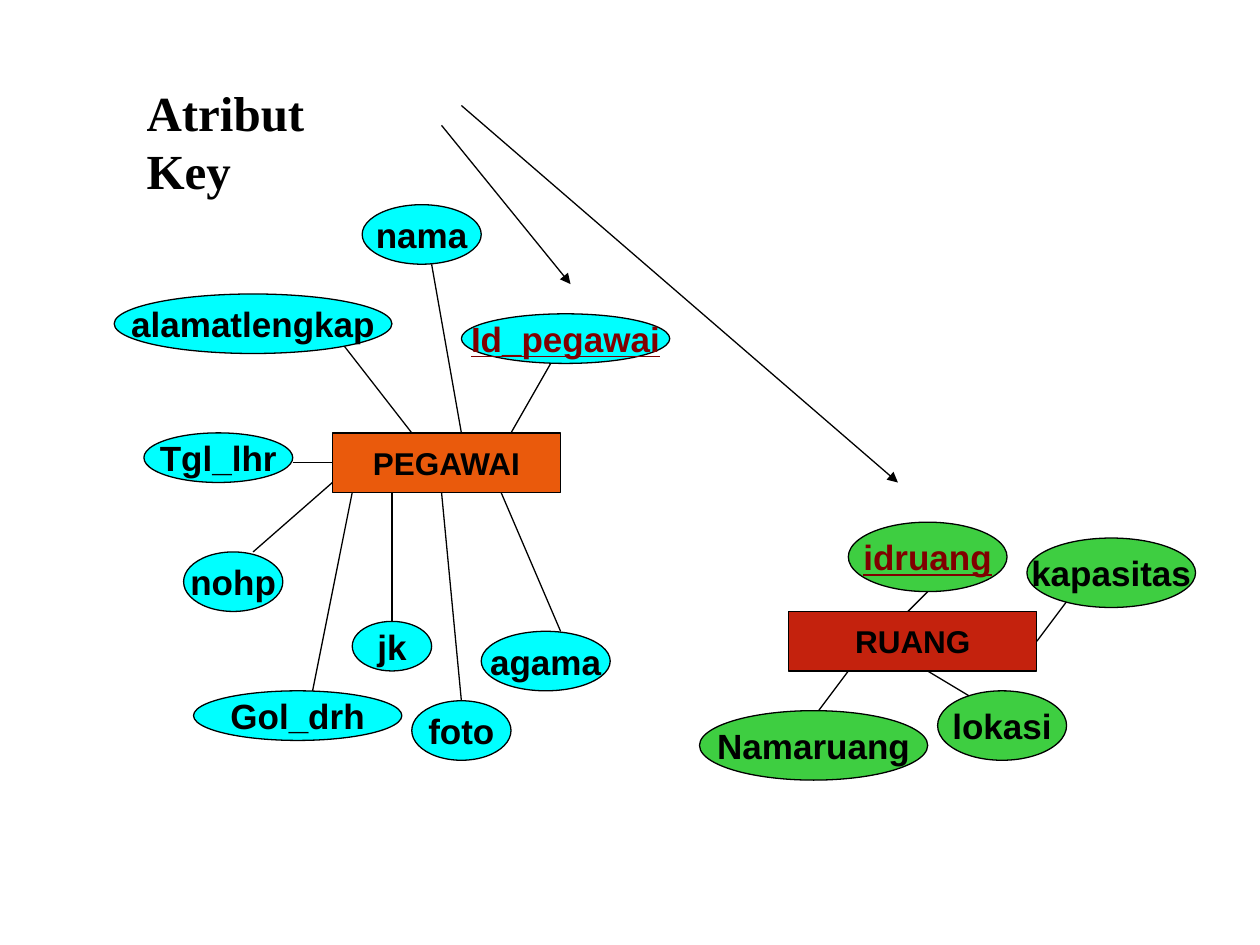
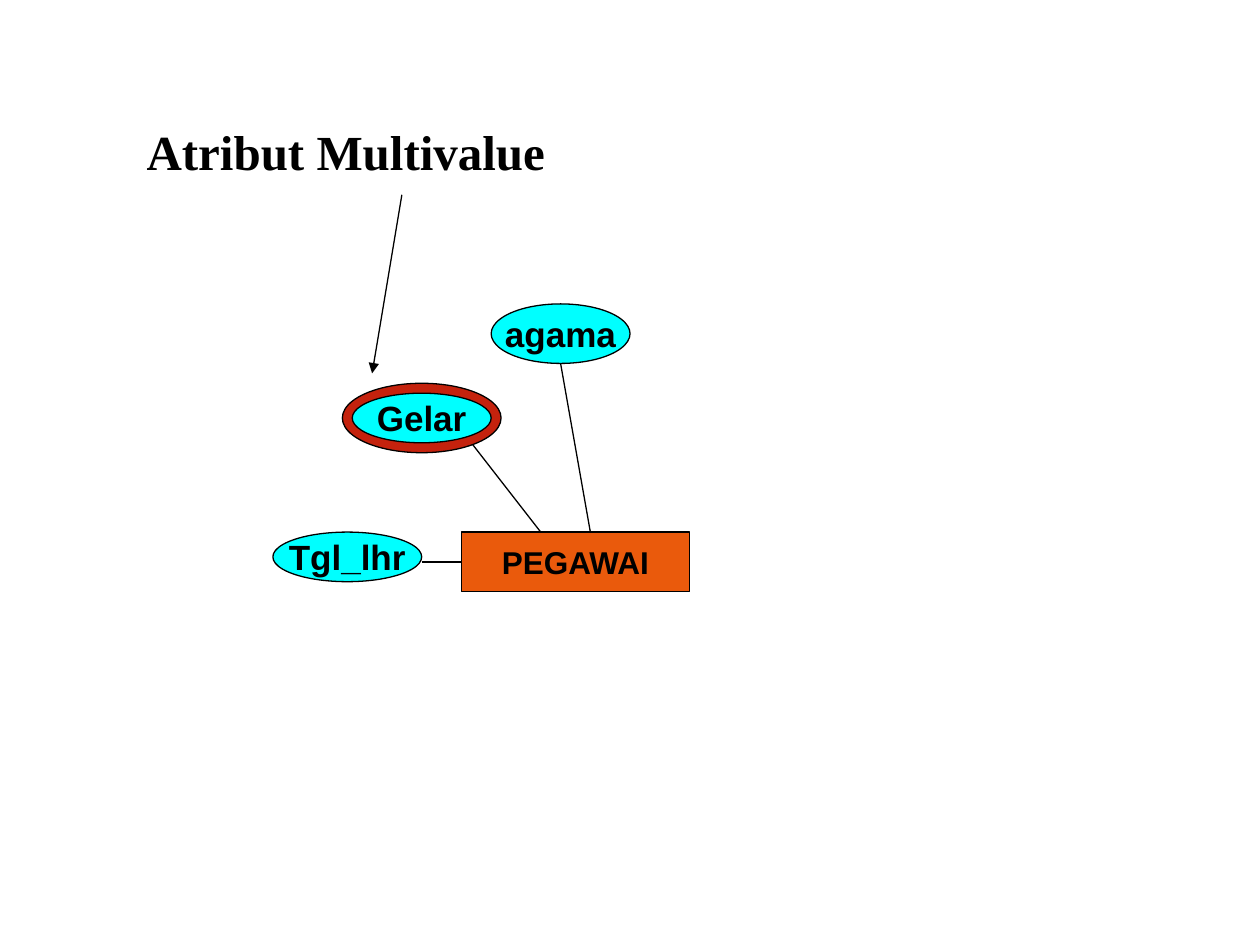
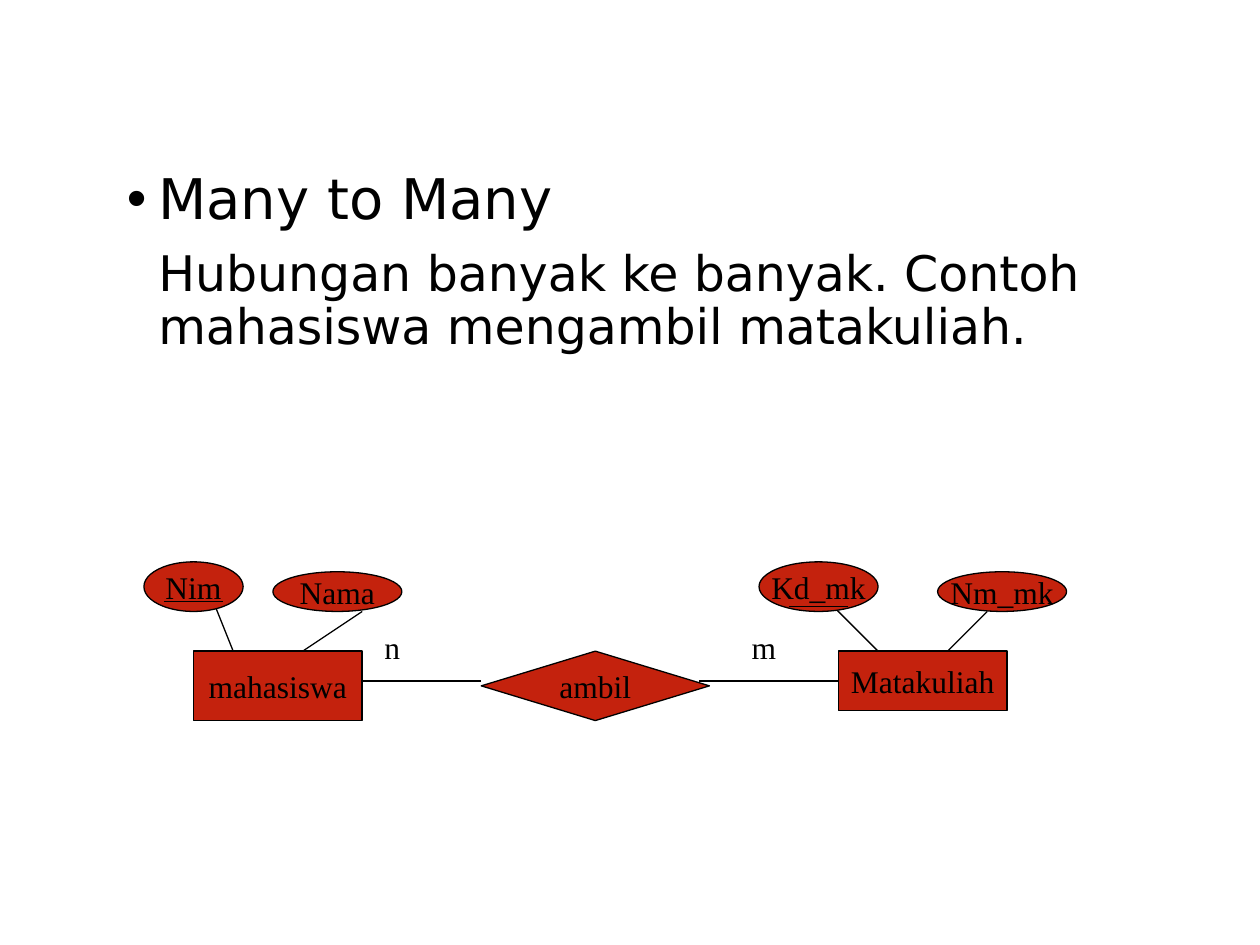
import pptx
import pptx.util
import pptx.dml.color
import pptx.enum.shapes
import pptx.enum.text
import pptx.oxml.ns
import lxml.etree

BLACK = pptx.dml.color.RGBColor(0x00, 0x00, 0x00)
MAROON = pptx.dml.color.RGBColor(0x80, 0x00, 0x00)
RED = pptx.dml.color.RGBColor(0xC4, 0x22, 0x0D)
ORANGE = pptx.dml.color.RGBColor(0xEA, 0x5A, 0x0C)
CYAN = pptx.dml.color.RGBColor(0x00, 0xFF, 0xFF)
GREEN = pptx.dml.color.RGBColor(0x3E, 0xCE, 0x41)

SANS, SERIF, BODY = "Arial", "Times New Roman", "DejaVu Sans"
CELL = pptx.util.Mm(2)
LEFT = pptx.util.Inches(0.04)
TOP = pptx.util.Inches(0.05)
LINE_WIDTH = pptx.util.Pt(0.75)

SHAPES = pptx.enum.shapes.MSO_SHAPE
ALIGN = pptx.enum.text.PP_ALIGN
ANCHOR = pptx.enum.text.MSO_ANCHOR
TOP_SIDE, LEFT_SIDE, BOTTOM_SIDE, RIGHT_SIDE = range(4)

KEY = {"color": MAROON, "underline": True}
PLAIN = {"font": SERIF, "size": 18, "bold": False}


def point(column, row):
    return LEFT + round(column * CELL), TOP + round(row * CELL)


def area(column, row, columns, rows):
    return *point(column, row), columns * CELL, rows * CELL


def write(paragraph, text, font=SANS, size=20, bold=True, color=BLACK,
          underline=None, align=ALIGN.CENTER):
    paragraph.alignment = align
    run = paragraph.add_run()
    run.text = text
    run.font.name = font
    run.font.size = pptx.util.Pt(size)
    run.font.bold = bold
    run.font.underline = underline
    run.font.color.rgb = color


def place(placeholder, cells):
    (placeholder.left, placeholder.top,
     placeholder.width, placeholder.height) = area(*cells)
    placeholder.text_frame.auto_size = pptx.enum.text.MSO_AUTO_SIZE.NONE
    placeholder.text_frame.vertical_anchor = ANCHOR.TOP


def add_title(slide, text, cells):
    title = slide.shapes.title
    place(title, cells)
    title.text_frame.word_wrap = False
    write(title.text_frame.paragraphs[0], text, font=SERIF, size=28,
          align=ALIGN.LEFT)


def add_node(shapes, kind, text, cells, fill, **style):
    node = shapes.add_shape(kind, *area(*cells))
    node.shadow.inherit = False
    node.fill.solid()
    node.fill.fore_color.rgb = fill
    node.line.color.rgb = BLACK
    node.line.width = LINE_WIDTH
    if text:
        node.text_frame.word_wrap = False
        node.text_frame.vertical_anchor = ANCHOR.MIDDLE
        write(node.text_frame.paragraphs[0], text, **style)
    return node


def add_entity(slide, text, cells, fill, **style):
    return add_node(slide.shapes, SHAPES.RECTANGLE, text, cells, fill,
                    **{"size": 18, **style})


def add_attributes(slide, attributes, fill, **shared):
    for text, cells, style in attributes:
        add_node(slide.shapes, SHAPES.OVAL, text, cells, fill,
                 **shared, **style)


def add_link(slide, start, end, arrow=False):
    link = slide.shapes.add_connector(
        pptx.enum.shapes.MSO_CONNECTOR.STRAIGHT, *point(*start), *point(*end))
    link.line.color.rgb = BLACK
    link.line.width = LINE_WIDTH
    properties = link.line._get_or_add_ln()
    if arrow:
        lxml.etree.SubElement(properties, pptx.oxml.ns.qn("a:tailEnd"),
                              type="triangle")
    lxml.etree.SubElement(properties.getparent(),
                          pptx.oxml.ns.qn("a:effectLst"))
    return link


def add_links(slide, ends, arrow=False):
    for start, end in ends:
        add_link(slide, start, end, arrow)


def add_cardinality(slide, text, cells):
    label = slide.shapes.add_textbox(*area(*cells))
    label.text_frame.word_wrap = False
    write(label.text_frame.paragraphs[0], text, align=ALIGN.LEFT, **PLAIN)


def add_definition(slide, term, meaning, cells):
    body = slide.placeholders[1]
    place(body, cells)
    frame = body.text_frame
    lines = [(term, 32, 0, -0.25), (meaning, 28, 10, 0)]
    for text, size, space, indent in lines:
        paragraph = frame.add_paragraph() if space else frame.paragraphs[0]
        write(paragraph, text, font=BODY, size=size, bold=False,
              align=ALIGN.LEFT)
        paragraph.line_spacing = 0.9
        paragraph.space_before = pptx.util.Pt(space)
        properties = paragraph._p.get_or_add_pPr()
        properties.set("marL", str(pptx.util.Inches(0.25)))
        properties.set("indent", str(pptx.util.Inches(indent)))
        if not indent:
            lxml.etree.SubElement(properties, pptx.oxml.ns.qn("a:buNone"))


def build_key_attributes(slide):
    add_title(slide, "Atribut Key", (13, 7, 28, 7))
    ruang = add_entity(slide, "RUANG", (79, 61, 25, 6), RED)
    pegawai = add_entity(slide, "PEGAWAI", (33, 43, 23, 6), ORANGE)
    add_links(slide, [
        ((93, 59), (91, 61)), ((85, 67), (82, 71)), ((93, 67), (98, 70)),
        ((51, 43), (55, 36)), ((46, 43), (43, 26)), ((41, 43), (34, 34)),
        ((35, 49), (31, 69)), ((39, 49), (39, 62)), ((46, 70), (44, 49)),
        ((50, 49), (56, 63)), ((33, 48), (25, 55)),
    ])
    add_link(slide, (107, 60), (104, 64)).end_connect(ruang, RIGHT_SIDE)
    add_link(slide, (29, 46), (33, 46)).end_connect(pegawai, LEFT_SIDE)
    add_attributes(slide, [
        ("idruang", (85, 52, 16, 7), KEY),
        ("Namaruang", (70, 71, 23, 7), {}),
        ("lokasi", (94, 69, 13, 7), {}),
        ("kapasitas", (103, 53.6, 17, 7), {}),
    ], GREEN)
    add_attributes(slide, [
        ("Id_pegawai", (46, 31, 21, 5), KEY),
        ("nama", (36, 20, 12, 6), {}),
        ("alamatlengkap", (11, 29, 28, 6), {}),
        ("Tgl_lhr", (14, 43, 15, 5), {}),
        ("Gol_drh", (19, 69, 21, 5), {}),
        ("nohp", (18, 55, 10, 6), {}),
        ("jk", (35, 62, 8, 5), {}),
        ("foto", (41, 70, 10, 6), {}),
        ("agama", (48, 63, 13, 6), {}),
    ], CYAN)
    add_links(slide, [((44, 12), (57, 28)), ((46, 10), (90, 48))], arrow=True)


def build_multivalue_attribute(slide):
    add_title(slide, "Atribut Multivalue", (13, 11, 43, 7))
    pegawai = add_entity(slide, "PEGAWAI", (46, 53, 23, 6), ORANGE)
    add_links(slide, [((59, 53), (56, 36)), ((54, 53), (47, 44))])
    add_link(slide, (42, 56), (46, 56)).end_connect(pegawai, LEFT_SIDE)
    add_attributes(slide, [
        ("agama", (49, 30, 14, 6), {}),
        ("Tgl_lhr", (27, 53, 15, 5), {}),
    ], CYAN)
    gelar = slide.shapes.add_group_shape()
    add_node(gelar.shapes, SHAPES.OVAL, "", (34, 38, 16, 7), RED)
    add_node(gelar.shapes, SHAPES.OVAL, "Gelar", (35, 39, 14, 5), CYAN)
    add_link(slide, (40, 19), (37, 37), arrow=True)


def build_many_to_many(slide):
    title = slide.shapes.title.element
    title.getparent().remove(title)
    add_definition(
        slide, "Many to Many",
        "Hubungan banyak ke banyak. Contoh mahasiswa mengambil matakuliah.",
        (11, 16, 109, 58))
    add_entity(slide, "mahasiswa", (19, 65, 17, 7), RED, **PLAIN)
    add_node(slide.shapes, SHAPES.FLOWCHART_DECISION, "ambil",
             (48, 65, 23, 7), RED, **PLAIN)
    matakuliah = add_entity(slide, "Matakuliah", (84, 65, 17, 6), RED, **PLAIN)
    add_links(slide, [
        ((48, 68), (36, 68)), ((23, 65), (21, 60)), ((30, 65), (36, 61)),
        ((88, 65), (83, 60)), ((95, 65), (99, 61)),
    ])
    add_link(slide, (70, 68), (84, 68)).end_connect(matakuliah, LEFT_SIDE)
    add_attributes(slide, [
        ("Nim", (14, 56, 10, 5), {}),
        ("Nama", (27, 57, 13, 4), {}),
        ("Kd_mk", (76, 56, 12, 5), {}),
        ("Nm_mk", (94, 57, 13, 4), {}),
    ], RED, **PLAIN)
    add_links(slide, [((16, 60), (22, 60)), ((79, 60.5), (85, 60.5))])
    add_cardinality(slide, "n", (37, 62, 4, 5))
    add_cardinality(slide, "m", (74, 62, 5, 5))


def main():
    deck = pptx.Presentation()
    deck.slide_width = pptx.util.Inches(10)
    deck.slide_height = pptx.util.Inches(7.5)
    title_only = deck.slide_layouts.get_by_name("Title Only")
    title_and_content = deck.slide_layouts.get_by_name("Title and Content")
    build_key_attributes(deck.slides.add_slide(title_only))
    build_multivalue_attribute(deck.slides.add_slide(title_only))
    build_many_to_many(deck.slides.add_slide(title_and_content))
    deck.save("out.pptx")


if __name__ == "__main__":
    main()
